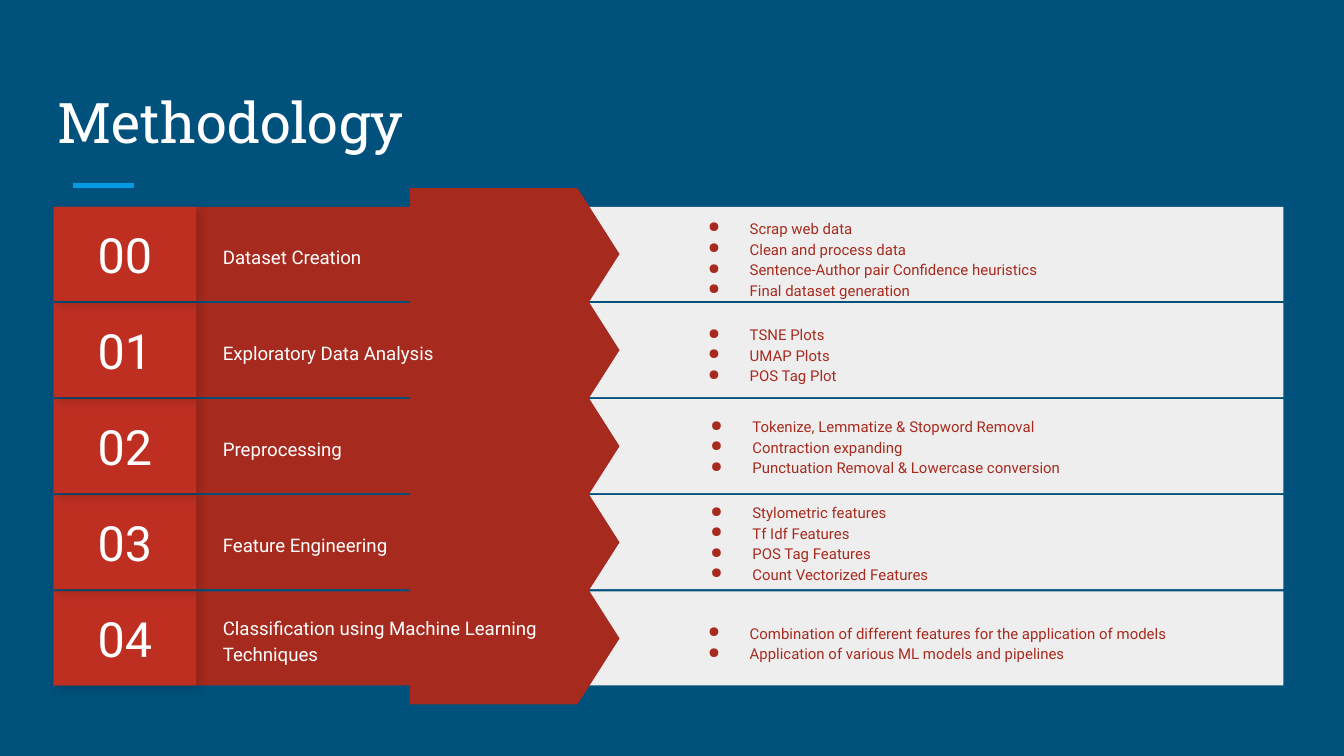
from dataclasses import dataclass

from lxml import etree
from pptx import Presentation
from pptx.dml.color import RGBColor
from pptx.enum.shapes import MSO_CONNECTOR, MSO_SHAPE
from pptx.enum.text import MSO_ANCHOR, PP_ALIGN
from pptx.oxml.ns import qn
from pptx.util import Inches, Pt

RECTANGLE = MSO_SHAPE.RECTANGLE
PENNANT = MSO_SHAPE.FLOWCHART_OFFPAGE_CONNECTOR
STRAIGHT = MSO_CONNECTOR.STRAIGHT
MIDDLE, BOTTOM = MSO_ANCHOR.MIDDLE, MSO_ANCHOR.BOTTOM
LEFT, CENTER = PP_ALIGN.LEFT, PP_ALIGN.CENTER

# Grid of 100 columns by 56.25 rows; every cell is a tenth of an inch square
COLUMNS, ROWS = 100, 56.25
FIRST_ROW, ROW_STEP, ROW_HEIGHT = 15.4, 7.15, 7

# Number, label, left and width of the list, its drop below the row, list items
STAGES = [
    ("00", "Dataset Creation", 49.8, 45.6, 0.3,
     ["Scrap web data", "Clean and process data",
      "Sentence-Author pair Confidence heuristics", "Final dataset generation"]),
    ("01", "Exploratory Data Analysis", 49.8, 45.6, 0.3,
     ["TSNE Plots", "UMAP Plots", "POS Tag Plot"]),
    ("02", "Preprocessing", 50, 42.6, 0,
     ["Tokenize, Lemmatize & Stopword Removal", "Contraction expanding",
      "Punctuation Removal & Lowercase conversion"]),
    ("03", "Feature Engineering", 50, 42.6, 0,
     ["Stylometric features", "Tf Idf Features", "POS Tag Features",
      "Count Vectorized Features"]),
    ("04", "Classification using Machine Learning Techniques", 49.8, 45.6, 0.3,
     ["Combination of different features for the application of models",
      "Application of various ML models and pipelines"]),
]


def color(hex_string):
    return RGBColor.from_string(hex_string)


def grid(cells):
    return Inches(cells / 10)


def add_bullet(para, hex_string):
    props = para._p.get_or_add_pPr()
    props.set("marL", str(Inches(0.5)))
    props.set("indent", str(-Inches(0.31)))
    bullet_color = etree.SubElement(props, qn("a:buClr"))
    etree.SubElement(bullet_color, qn("a:srgbClr"), val=hex_string)
    etree.SubElement(props, qn("a:buChar"), char="●")


def write(box, text, font="Roboto", size=10, fill="FFFFFF", align=LEFT,
          anchor=MIDDLE, spacing=None, bullets=False):
    """Fill a box with text, one paragraph for each line."""
    frame = box.text_frame
    frame.word_wrap = True
    frame.vertical_anchor = anchor
    frame.margin_left = frame.margin_right = Inches(0.1)
    frame.margin_top = frame.margin_bottom = Inches(0.1)
    for index, line in enumerate(text.split("\n")):
        para = frame.add_paragraph() if index else frame.paragraphs[0]
        para.alignment = align
        if spacing:
            para.line_spacing = spacing
        if bullets:
            add_bullet(para, fill)
        span = para.add_run()
        span.text = line
        span.font.name = font
        span.font.size = Pt(size)
        span.font.color.rgb = color(fill)


@dataclass
class Board:
    page: object
    background: str = "00517C"
    accent: str = "039BE5"
    panel: str = "EEEEEE"
    band: str = "A72A1E"
    tile: str = "BE2F22"
    tile_base: str = "B02C20"

    def paint_background(self):
        fill = self.page.background.fill
        fill.solid()
        fill.fore_color.rgb = color(self.background)

    def shape(self, left, top, width, height, fill, kind=RECTANGLE):
        box = self.page.shapes.add_shape(
            kind, grid(left), grid(top), grid(width), grid(height))
        box.shadow.inherit = False
        box.fill.solid()
        box.fill.fore_color.rgb = color(fill)
        box.line.fill.background()
        return box

    def text(self, left, top, width, height, text, **style):
        box = self.page.shapes.add_textbox(
            grid(left), grid(top), grid(width), grid(height))
        write(box, text, **style)

    def line(self, left, right, top, width):
        rule = self.page.shapes.add_connector(
            STRAIGHT, grid(left), grid(top), grid(right), grid(top))
        rule.line.color.rgb = color(self.accent)
        rule.line.width = Pt(width)
        etree.SubElement(rule._element.spPr, qn("a:effectLst"))

    def pennant(self, center_x, center_y, length, breadth):
        box = self.shape(center_x - breadth / 2, center_y - length / 2,
                         breadth, length, self.band, PENNANT)
        box.rotation = 270

    def cast_shadow(self, box):
        effects = box._element.spPr.find(qn("a:effectLst"))
        shadow = etree.SubElement(
            effects, qn("a:outerShdw"), blurRad=str(Pt(5.6)),
            dist=str(Pt(2.2)), dir="2700000", algn="bl", rotWithShape="0")
        tint = etree.SubElement(shadow, qn("a:srgbClr"), val="000000")
        etree.SubElement(tint, qn("a:alpha"), val="17000")

    def stage(self, top, number, label, list_left, list_width, drop, items):
        # Pale panel, red band and its arrow end
        self.shape(36.8, top, 58.7, ROW_HEIGHT, self.panel)
        self.shape(14.6, top, 28.3, ROW_HEIGHT, self.band)
        self.pennant(38.3, top + ROW_HEIGHT / 2, length=15.6, breadth=9.8)
        self.text(15.6, top + 0.9, 29.8, 5.4, label, spacing=1.15)
        # Number tile over its shadowed base
        self.cast_shadow(self.shape(4, top, 10.6, ROW_HEIGHT, self.tile_base))
        tile = self.shape(4, top, 10.6, ROW_HEIGHT, self.tile)
        write(tile, number, size=26, align=CENTER)
        # Bulleted steps
        self.text(list_left, top + drop, list_width, ROW_HEIGHT,
                  "\n".join(items), size=8, fill=self.band, spacing=1.15,
                  bullets=True)


def main():
    deck = Presentation()
    deck.slide_width, deck.slide_height = grid(COLUMNS), grid(ROWS)
    board = Board(deck.slides.add_slide(deck.slide_layouts[6]))
    board.paint_background()

    # Heading
    board.line(5.4, 10, 13.8, width=3)
    board.text(3.3, 5, 92.3, 7.5, "Methodology", font="Roboto Slab", size=30,
               anchor=BOTTOM)

    # Stages from the bottom up, so each shadow falls on the row below
    for index, stage in reversed(list(enumerate(STAGES))):
        board.stage(FIRST_ROW + index * ROW_STEP, *stage)

    deck.save("out.pptx")


if __name__ == "__main__":
    main()
